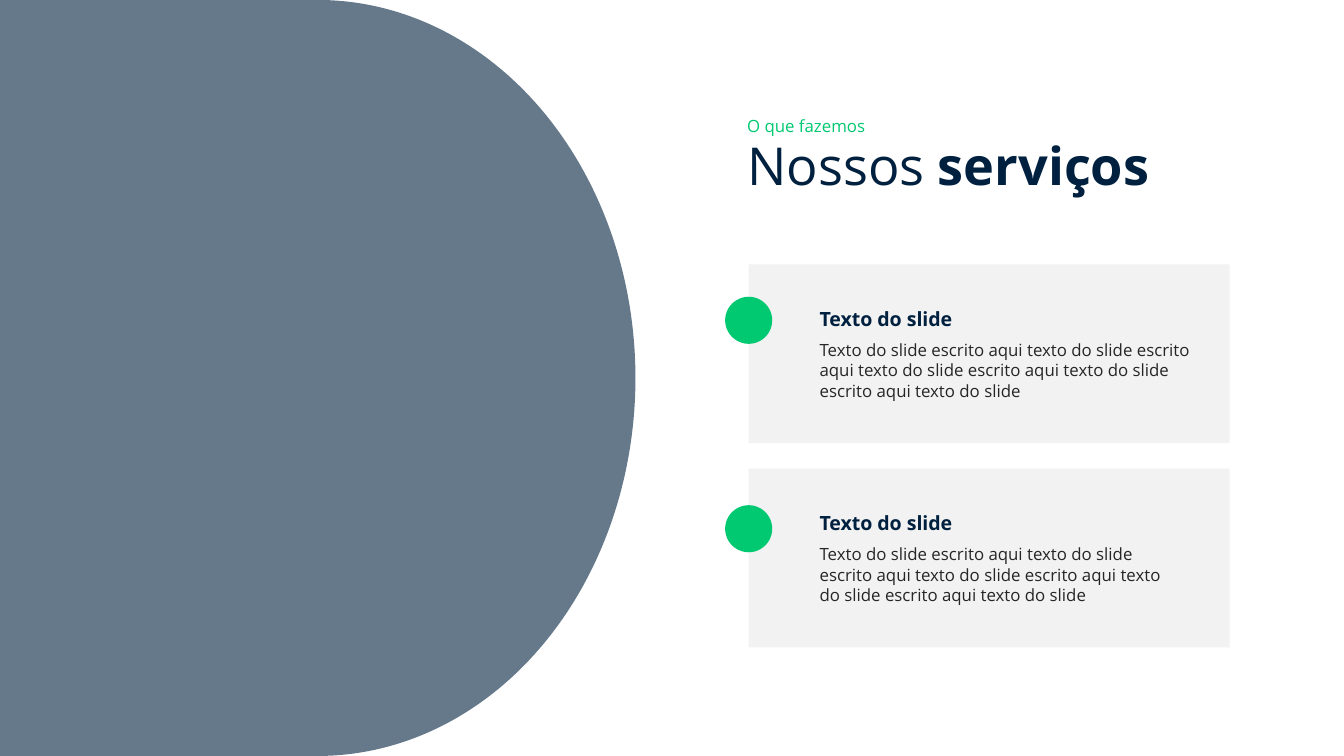
from lxml import etree
from pptx import Presentation
from pptx.dml.color import RGBColor
from pptx.enum import shapes, text
from pptx.oxml.ns import qn
from pptx.util import Cm, Pt

COLORS = {"navy": "00203F", "green": "00C971", "card": "F2F2F2", "body": "262626"}
FONT = "Open Sans"

TITLE = [("Nossos ", False), ("serviços", True)]
EYEBROW = "O que fazemos"
SERVICE_TEXT = (
    "Texto do slide escrito aqui texto do slide escrito aqui texto do slide "
    "escrito aqui texto do slide escrito aqui texto do slide"
)
SERVICES = [
    {"heading": "Texto do slide", "body": SERVICE_TEXT, "body_width": 7.77, "dot_top": 5.61},
    {"heading": "Texto do slide", "body": SERVICE_TEXT, "body_width": 7.34, "dot_top": 9.55},
]

SLIDE_WIDTH, SLIDE_HEIGHT = 25.4, 14.29
CARD_LEFT, CARD_TOP, CARD_WIDTH, CARD_HEIGHT, CARD_GAP = 14.15, 5, 9.09, 3.38, 0.48
DOT_SIZE = 0.89
TEXT_LEFT = 15.24

FORMATS = {
    "title": {"size": Pt(28), "color": "navy"},
    "eyebrow": {"size": Pt(9), "color": "green"},
    "heading": {"size": Pt(10.5), "color": "navy", "bold": True},
    "body": {"size": Pt(9), "color": "body"},
}
FRAME = {
    "word_wrap": True,
    "auto_size": text.MSO_AUTO_SIZE.SHAPE_TO_FIT_TEXT,
    "vertical_anchor": text.MSO_ANCHOR.TOP,
}


def rgb(name):
    return RGBColor.from_string(COLORS[name])


def set_all(target, values):
    for name, value in values.items():
        setattr(target, name, value)


def place(target, left, top, width, height):
    set_all(target, {"left": Cm(left), "top": Cm(top), "width": Cm(width), "height": Cm(height)})


def write(target, runs, style):
    set_all(target.text_frame, FRAME)
    paragraph = target.text_frame.paragraphs[0]
    paragraph.alignment = text.PP_ALIGN.LEFT
    values = dict(FORMATS[style], name=FONT)
    color = values.pop("color")
    for words, bold in runs:
        run = paragraph.add_run()
        run.text = words
        set_all(run.font, {"bold": bold, **values})
        run.font.color.rgb = rgb(color)


def add_text(slide, words, style, left, top, width, height):
    box = slide.shapes.add_textbox(Cm(left), Cm(top), Cm(width), Cm(height))
    write(box, [(words, False)], style)


def add_block(slide, kind, color, left, top, width, height):
    block = slide.shapes.add_shape(kind, Cm(left), Cm(top), Cm(width), Cm(height))
    block.shadow.inherit = False
    block.fill.solid()
    block.fill.fore_color.rgb = rgb(color)
    block.line.fill.background()
    return block


def main():
    deck = Presentation()
    set_all(deck, {"slide_width": Cm(SLIDE_WIDTH), "slide_height": Cm(SLIDE_HEIGHT)})
    slide = deck.slides.add_slide(deck.slide_layouts[5])
    kinds = shapes.MSO_SHAPE

    panel = add_block(slide, kinds.FLOWCHART_DELAY, "navy", 0, 0, 12.01, SLIDE_HEIGHT)
    panel_color = panel.fill._xPr.find(qn("a:solidFill"))[0]
    etree.SubElement(panel_color, qn("a:alpha"), val="60000")

    title = slide.shapes.title
    place(title, 13.87, 2.39, 10.08, 1.45)
    write(title, TITLE, "title")
    add_text(slide, EYEBROW, "eyebrow", 13.87, 2.06, 8.26, 0.64)

    for index, service in enumerate(SERVICES):
        top = CARD_TOP + index * (CARD_HEIGHT + CARD_GAP)
        add_block(slide, kinds.RECTANGLE, "card", CARD_LEFT, top, CARD_WIDTH, CARD_HEIGHT)
        add_text(slide, service["body"], "body", TEXT_LEFT, top + 1.3, service["body_width"], 1.42)
        add_text(slide, service["heading"], "heading", TEXT_LEFT, top + 0.68, 6.88, 0.71)
        add_block(slide, kinds.OVAL, "green", CARD_LEFT - DOT_SIZE / 2, service["dot_top"], DOT_SIZE, DOT_SIZE)

    deck.save("out.pptx")


if __name__ == "__main__":
    main()
